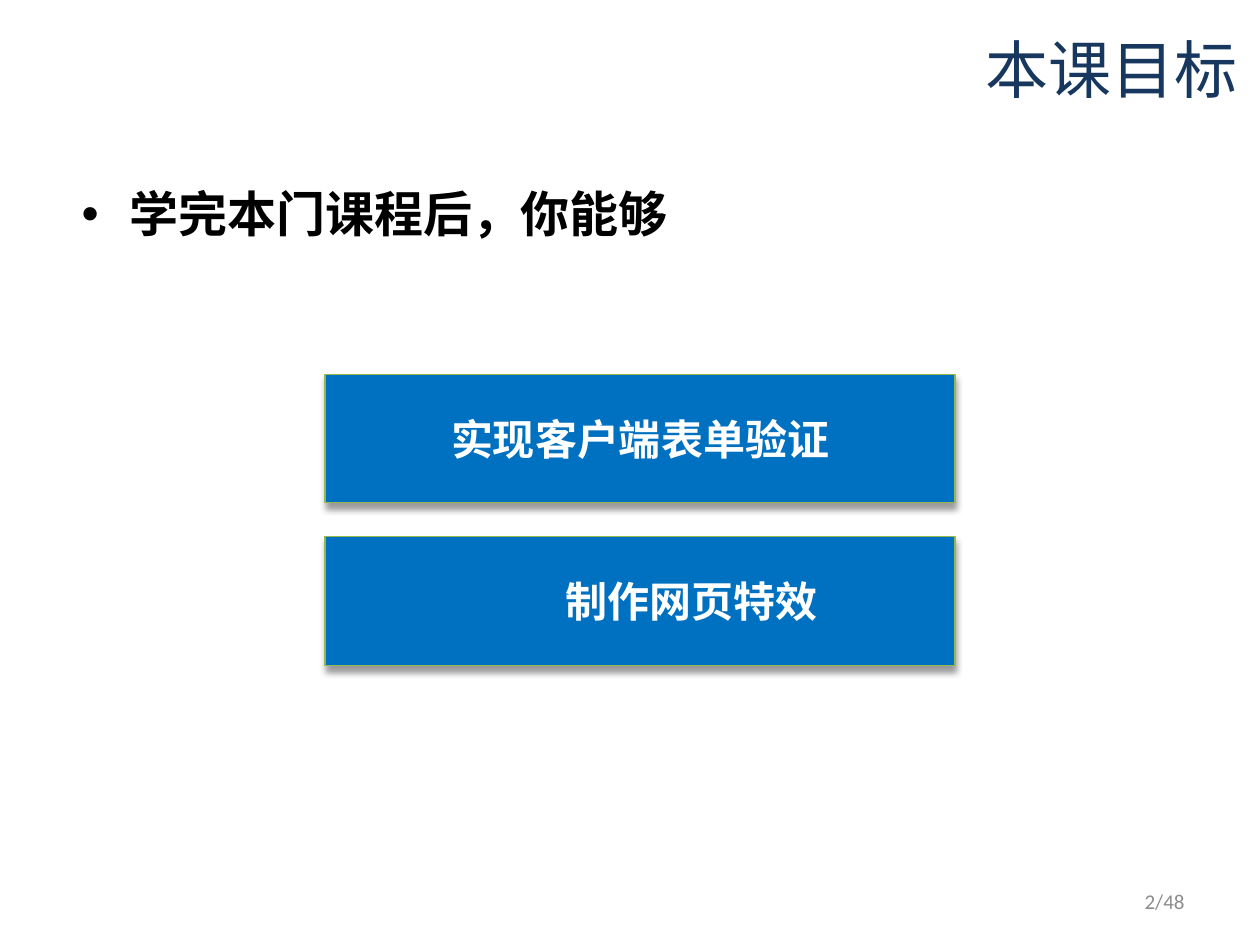
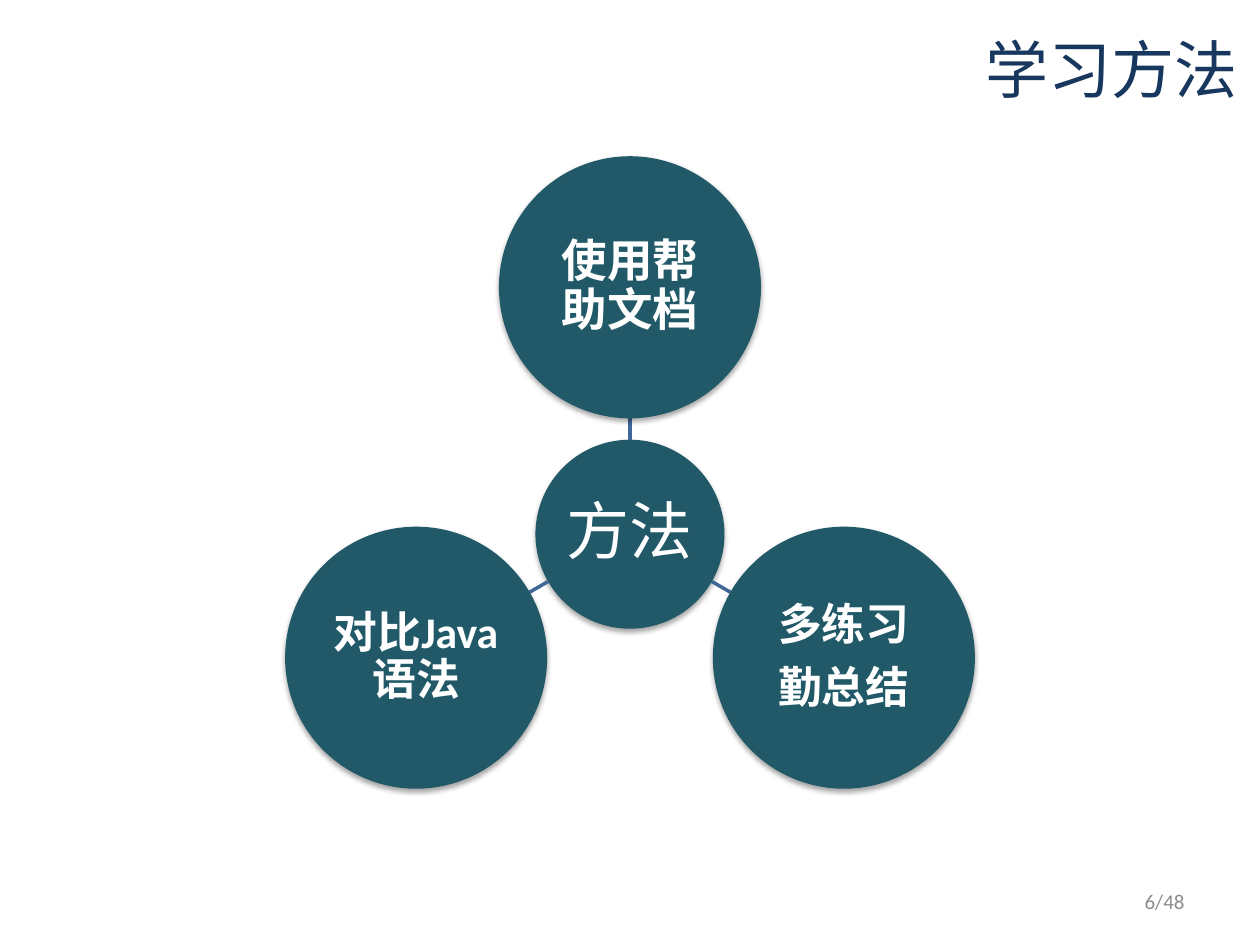
import math

from lxml import etree
from pptx import Presentation
from pptx.dml.color import RGBColor
from pptx.enum.shapes import MSO_CONNECTOR, MSO_SHAPE
from pptx.enum.text import MSO_ANCHOR, PP_ALIGN
from pptx.oxml import parse_xml
from pptx.oxml.ns import nsdecls, qn
from pptx.util import Inches, Pt

RECT, OVAL = MSO_SHAPE.RECTANGLE, MSO_SHAPE.OVAL
STRAIGHT = MSO_CONNECTOR.STRAIGHT
TOP, MIDDLE = MSO_ANCHOR.TOP, MSO_ANCHOR.MIDDLE
LEFT, CENTER, RIGHT = PP_ALIGN.LEFT, PP_ALIGN.CENTER, PP_ALIGN.RIGHT

CJK = "Noto Sans CJK SC"
COLORS = {
    "title": "17375E", "body": "000000", "page": "8C8C8C", "white": "FFFFFF",
    "box": "0070C0", "box_line": "95B74F", "circle": "215968", "spoke": "3F6797",
}
PAGE_COUNT = 48


def color(name):
    return RGBColor.from_string(COLORS[name])


def write(sp, text, font=CJK, size=24, fill="white", bold=False, align=CENTER,
          anchor=MIDDLE, inset=(0.1, 0.05, 0.1, 0.05), spacing=None, after=0):
    """Fill a shape with formatted text, one paragraph per line."""
    tf = sp.text_frame
    tf.word_wrap = True
    tf.vertical_anchor = anchor
    tf.margin_left, tf.margin_top, tf.margin_right, tf.margin_bottom = map(Inches, inset)
    for i, line in enumerate(text.split("\n")):
        p = tf.add_paragraph() if i else tf.paragraphs[0]
        p.alignment = align
        p.line_spacing = spacing
        p.space_after = Pt(after)
        r = p.add_run()
        r.text = line
        r.font.name, r.font.size, r.font.bold = font, Pt(size), bold
        r.font.color.rgb = color(fill)
        etree.SubElement(r.font._element, qn("a:ea"), typeface=CJK)
    return tf


def add_shadow(sp, alpha, blur, dist):
    """Cast a black shadow straight down; alpha in percent, lengths in points."""
    effects = parse_xml(
        f'<a:effectLst {nsdecls("a")}>'
        f'<a:outerShdw blurRad="{Pt(blur)}" dist="{Pt(dist)}" dir="5400000" rotWithShape="0">'
        f'<a:srgbClr val="000000"><a:alpha val="{alpha * 1000}"/></a:srgbClr>'
        f'</a:outerShdw></a:effectLst>')
    sp.shadow.inherit = False
    empty = sp._element.spPr.find(qn("a:effectLst"))
    empty.getparent().replace(empty, effects)


class Deck:
    def __init__(self):
        self.prs = Presentation()
        self.prs.slide_width, self.prs.slide_height = Inches(10), Inches(7.5)
        self.s = None

    def new_slide(self, title, page):
        self.s = self.prs.slides.add_slide(self.prs.slide_layouts[5])
        sp = self.s.shapes.title
        sp.left, sp.top, sp.width, sp.height = map(Inches, (1.86, 0.23, 8.06, 0.62))
        write(sp, title, size=36, fill="title", align=RIGHT)
        self.text(f"{page}/{PAGE_COUNT}", 7.17, 6.95, 2.33, 0.4,
                  font="Calibri", size=12, fill="page", align=RIGHT)

    def text(self, text, x, y, w, h, **fmt):
        sp = self.s.shapes.add_textbox(*map(Inches, (x, y, w, h)))
        return write(sp, text, **fmt)

    def bullet(self, text, x, y, w, h):
        tf = self.text(text, x, y, w, h, size=28, fill="body", bold=True,
                       align=LEFT, anchor=TOP)
        pPr = tf.paragraphs[0]._p.get_or_add_pPr()
        pPr.set("marL", str(Inches(0.38)))
        pPr.set("indent", str(-Inches(0.38)))
        etree.SubElement(pPr, qn("a:buFont"), typeface="Arial")
        etree.SubElement(pPr, qn("a:buChar"), char="•")

    def shape(self, kind, x, y, w, h, fill):
        sp = self.s.shapes.add_shape(kind, *map(Inches, (x, y, w, h)))
        sp.fill.solid()
        sp.fill.fore_color.rgb = color(fill)
        return sp

    def box(self, text, x, y, w, h, indent=0):
        sp = self.shape(RECT, x, y, w, h, "box")
        sp.line.color.rgb = color("box_line")
        sp.line.width = Pt(0.75)
        add_shadow(sp, alpha=40, blur=4, dist=3)
        write(sp, text, font="Arial", bold=True, inset=(0.1 + indent, 0.05, 0.1, 0.05))

    def circle(self, text, cx, cy, radius, size, bold=True, inset=0.02):
        sp = self.shape(OVAL, cx - radius, cy - radius, 2 * radius, 2 * radius, "circle")
        sp.line.fill.background()
        add_shadow(sp, alpha=35, blur=3.1, dist=1.8)
        write(sp, text, font="Calibri", size=size, bold=bold, inset=[inset] * 4,
              spacing=0.9, after=round(0.35 * size))

    def line(self, start, end):
        c = self.s.shapes.add_connector(STRAIGHT, *map(Inches, (*start, *end)))
        c.line.color.rgb = color("spoke")
        c.line.width = Pt(2)
        etree.SubElement(c._element.spPr, qn("a:effectLst"))


def goals_slide(deck):
    deck.new_slide("本课目标", 2)
    deck.bullet("学完本门课程后，你能够", 0.55, 1.41, 9, 5.39)
    goals = [("实现客户端表单验证", 0), ("制作网页特效", 0.81)]
    for i, (goal, indent) in enumerate(goals):
        deck.box(goal, 2.58, 2.97 + 1.29 * i, 5, 1.02, indent)


def methods_slide(deck):
    deck.new_slide("学习方法", 6)
    cx, cy, hub_radius, radius, orbit = 5, 4.24, 0.75, 1.04, 1.96
    methods = [("使用帮助文档", 26), ("多练习\n勤总结", 25), ("对比Java语法", 25)]

    def polar(distance, angle):
        return cx + distance * math.cos(angle), cy + distance * math.sin(angle)

    deck.circle("方法", cx, cy, hub_radius, 36, bold=False, inset=0.03)
    for i, (method, size) in enumerate(methods):
        angle = math.radians(-90 + i * 360 / len(methods))
        deck.line(polar(hub_radius, angle), polar(orbit - radius, angle))
        deck.circle(method, *polar(orbit, angle), radius, size)


def main():
    deck = Deck()
    goals_slide(deck)
    methods_slide(deck)
    deck.prs.save("out.pptx")


if __name__ == "__main__":
    main()
